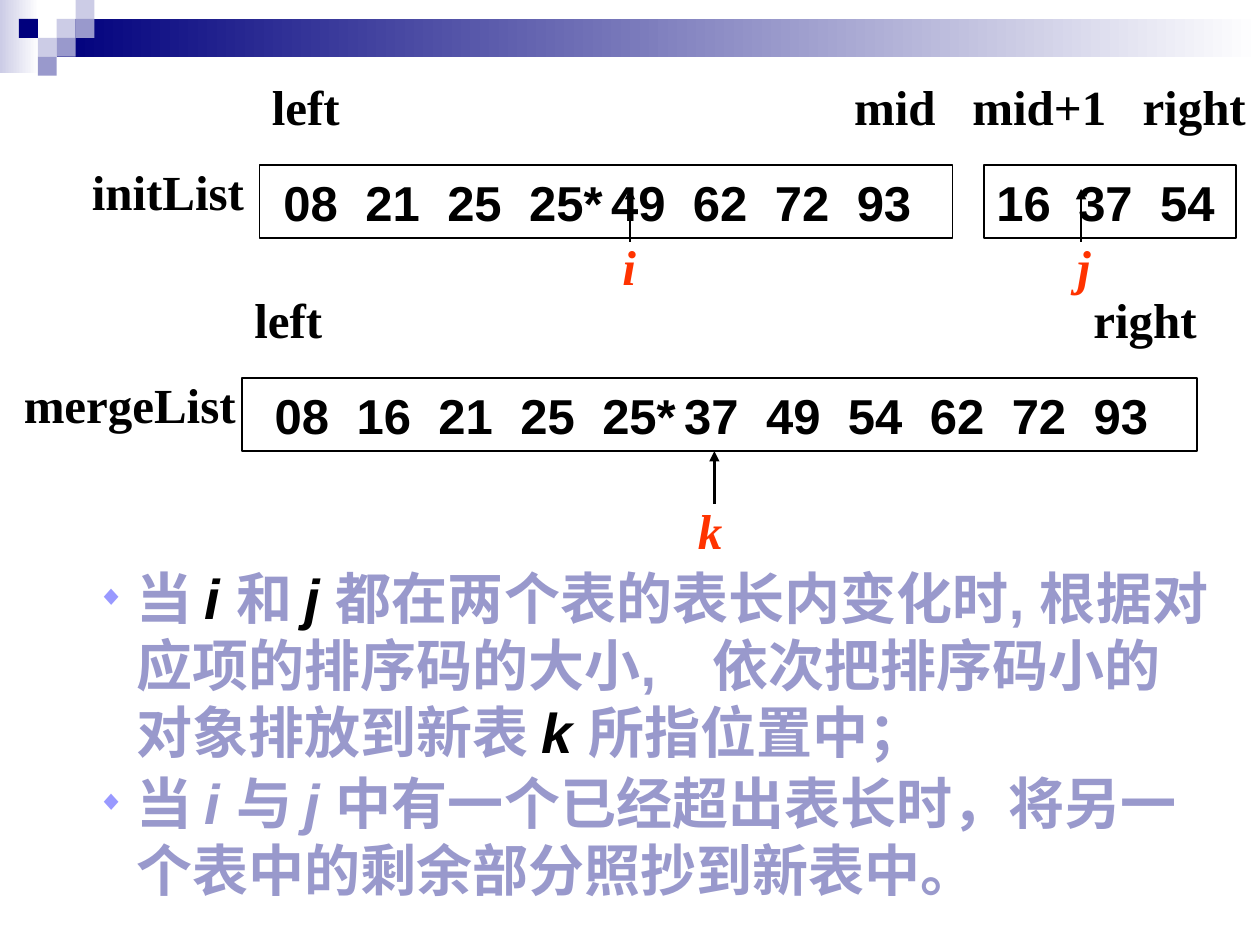
from pptx import Presentation
from pptx.dml.color import RGBColor as RGB
from pptx.enum.shapes import MSO_SHAPE as Shape, MSO_CONNECTOR as Conn
from pptx.enum.text import MSO_ANCHOR as Anchor, MSO_AUTO_SIZE as Auto, PP_ALIGN as Align
from pptx.oxml import parse_xml as parse
from pptx.oxml.ns import nsdecls, qn
from pptx.util import Inches, Pt
from lxml import etree

SERIF = {"name": "Times New Roman", "size": Pt(28), "bold": True}
SANS = {**SERIF, "name": "Arial"}
MARK = {**SERIF, "italic": True}
BODY = {**SANS, "size": Pt(32)}
STEP = 0.65


def color(code):
    return RGB.from_string(code)


def put(item, vals):
    for key, val in vals.items():
        setattr(item, key, val)


def add_run(para, text, style, code):
    run = para.add_run()
    run.text = text
    put(run.font, style)
    run.font.color.rgb = color(code)


def node(tag, **vals):
    item = parse(f"<a:{tag} {nsdecls('a')}/>")
    for key, val in vals.items():
        item.set(key, str(val))
    return item


def set_tabs(para, stops):
    tabs = node("tabLst")
    for stop in stops:
        tabs.append(node("tab", pos=Inches(stop), algn="l"))
    para._p.get_or_add_pPr().append(tabs)


def fill_row(frame, words, stops, style, code, pad=0.1):
    put(frame, {"word_wrap": True, "auto_size": Auto.NONE,
                "margin_left": Inches(pad), "margin_right": 0})
    para = frame.paragraphs[0]
    para.alignment = Align.LEFT
    set_tabs(para, stops)
    add_run(para, "\t".join(words), style, code)


def add_rect(slide, left, top, wide, high):
    rect = slide.shapes.add_shape(
        Shape.RECTANGLE, *map(Inches, (left, top, wide, high)))
    rect.shadow.inherit = False
    return rect


def label(slide, left, top, wide, words, stops=(), style=SERIF, code="000000"):
    box = slide.shapes.add_textbox(*map(Inches, (left, top, wide, 0.57)))
    fill_row(box.text_frame, words, stops, style, code)


def list_box(slide, left, top, wide, nums, pad):
    rect = add_rect(slide, left, top, wide, 0.58)
    rect.fill.solid()
    rect.fill.fore_color.rgb = color("FFFFFF")
    rect.line.color.rgb = color("000000")
    rect.line.width = Pt(0.75)
    rect.text_frame.vertical_anchor = Anchor.MIDDLE
    words = nums.split()
    stops = [STEP * n for n in range(1, len(words))]
    fill_row(rect.text_frame, words, stops, SANS, "000000", pad)


def arrow(slide, left, top):
    line = slide.shapes.add_connector(
        Conn.STRAIGHT, *map(Inches, (left, top + 0.42, left, top)))
    line.line.color.rgb = color("000000")
    line.line.width = Pt(1.5)
    line.line._get_or_add_ln().append(node("tailEnd", type="triangle"))
    etree.SubElement(line._element.spPr, qn("a:effectLst"))


def banner(slide, left, top):
    for x, y, wide, high, dark in ((0, 0, 0.31, 0.58, "CCCCE6"),
                                   (0.45, 0.15, 9.55, 0.3, "00007D")):
        bar = add_rect(slide, left + x, top + y, wide, high)
        bar.line.fill.background()
        bar.fill.gradient()
        bar.fill.gradient_angle = 0
        for stop, code in zip(bar.fill.gradient_stops, (dark, "FFFFFF")):
            stop.color.rgb = color(code)
    side = 0.15
    for col, row, code in ((3, 1, "CCCCE6"), (4, 0, "CCCCE6"), (4, 1, "9999CC"),
                           (2, 2, "CCCCE6"), (1, 1, "00007D"), (3, 2, "9999CC"),
                           (2, 3, "9999CC")):
        tile = add_rect(slide, left + col * side, top + row * side, side, side)
        tile.line.fill.background()
        tile.fill.solid()
        tile.fill.fore_color.rgb = color(code)


def init_list(slide, left, top):
    list_box(slide, left + 1.43, top + 0.75, 5.5, "08 21 25 25* 49 62 72 93", 0.19)
    list_box(slide, left + 7.18, top + 0.75, 2, "16 37 54", 0.1)
    label(slide, left + 1.43, top, 7.93,
          ("left", "mid", "mid+1", "right"), (4.62, 5.56, 6.91))
    label(slide, left, top + 0.67, 1.41, ("initList",))
    for x in (4.37, 7.95):
        arrow(slide, left + x, top + 0.94)
    label(slide, left + 4.21, top + 1.27, 3.91, ("i", "j"), (3.61,), MARK, "FF3300")


def merge_list(slide, left, top):
    list_box(slide, left + 1.83, top + 0.75, 7.58,
             "08 16 21 25 25* 37 49 54 62 72 93", 0.26)
    label(slide, left + 1.83, top, 7.67, ("left", "right"), (6.66,))
    label(slide, left, top + 0.67, 1.88, ("mergeList",))
    arrow(slide, left + 5.58, top + 1.33)
    label(slide, left + 5.35, top + 1.67, 0.39, ("k",), (), MARK, "FF3300")


def rules(slide, left, top, wide, high):
    body = slide.placeholders[1]
    put(body, {"left": Inches(left), "top": Inches(top),
               "width": Inches(wide), "height": Inches(high)})
    frame = body.text_frame
    put(frame, {"word_wrap": True, "auto_size": Auto.NONE})
    items = (("000000", ("当 ", "i ", "和 ", "j ",
                         "都在两个表的表长内变化时, 根据对应项的排序码的大小,　依次把排序码小的对象排放到新表 ",
                         "k ", "所指位置中；")),
             ("9999CC", ("当 ", "i ", "与 ", "j ",
                         "中有一个已经超出表长时，将另一 个表中的剩余部分照抄到新表中。")))
    for num, (code, parts) in enumerate(items):
        para = frame.add_paragraph() if num else frame.paragraphs[0]
        put(para, {"level": 1, "space_before": Pt(2)})
        props = para._p.get_or_add_pPr()
        props.set("marL", str(Inches(0.81)))
        props.set("indent", str(Inches(-0.31)))
        tint = node("buClr")
        tint.append(node("srgbClr", val="9999FF"))
        for item in (tint, node("buSzPct", val=50000),
                     node("buFont", typeface="Arial"), node("buChar", char="◆")):
            props.append(item)
        for pos, text in enumerate(parts):
            var = pos % 2 == 1
            add_run(para, text, {**BODY, "italic": var}, code if var else "9999CC")


def main():
    deck = Presentation()
    put(deck, {"slide_width": Inches(10), "slide_height": Inches(7.5)})
    slide = deck.slides.add_slide(deck.slide_layouts[1])
    title = slide.shapes.title._element
    title.getparent().remove(title)
    banner(slide, 0, 0)
    init_list(slide, 0.63, 0.56)
    merge_list(slide, 0.09, 2.25)
    rules(slide, 0.17, 4.42, 9.58, 2.92)
    deck.save("out.pptx")


if __name__ == "__main__":
    main()
